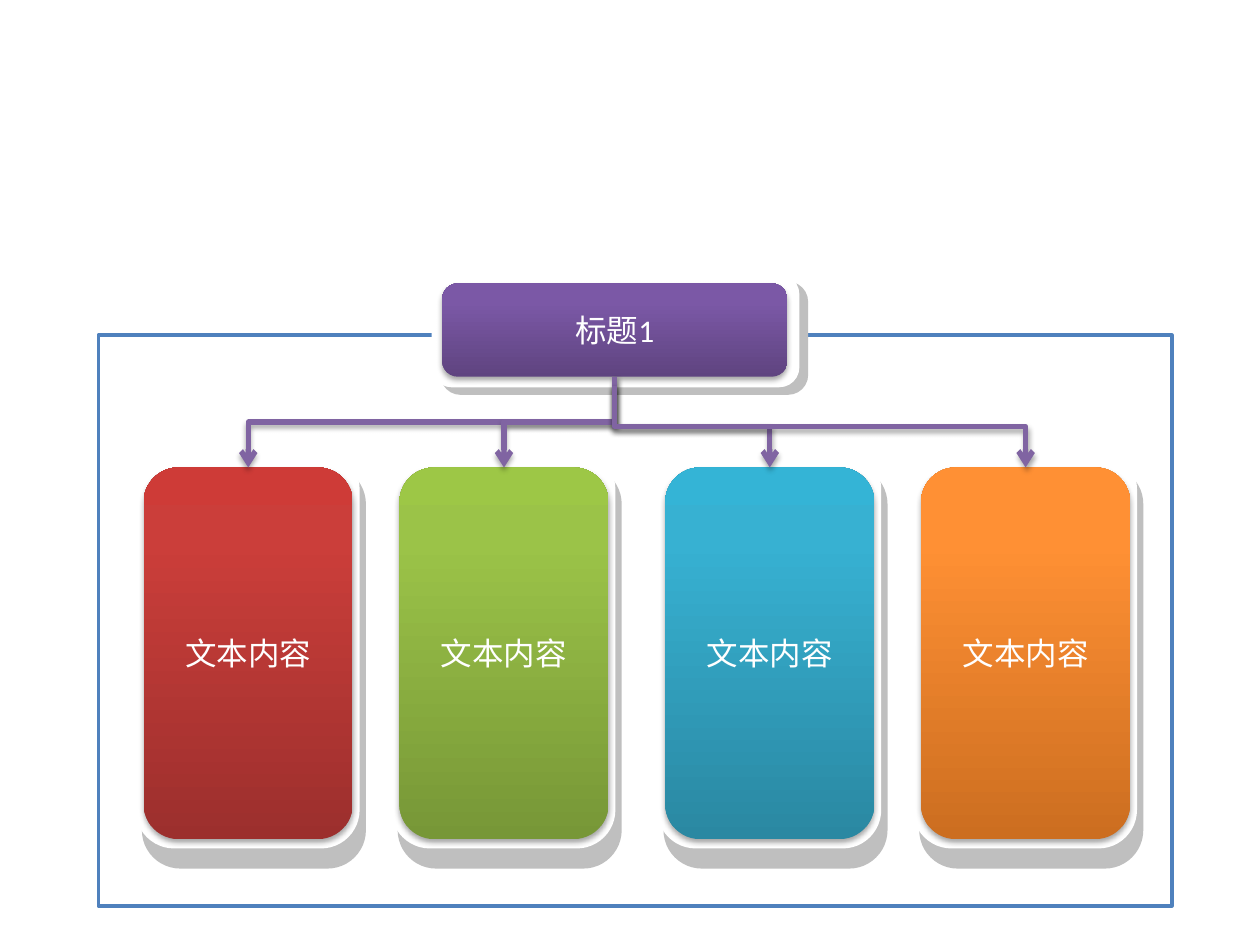
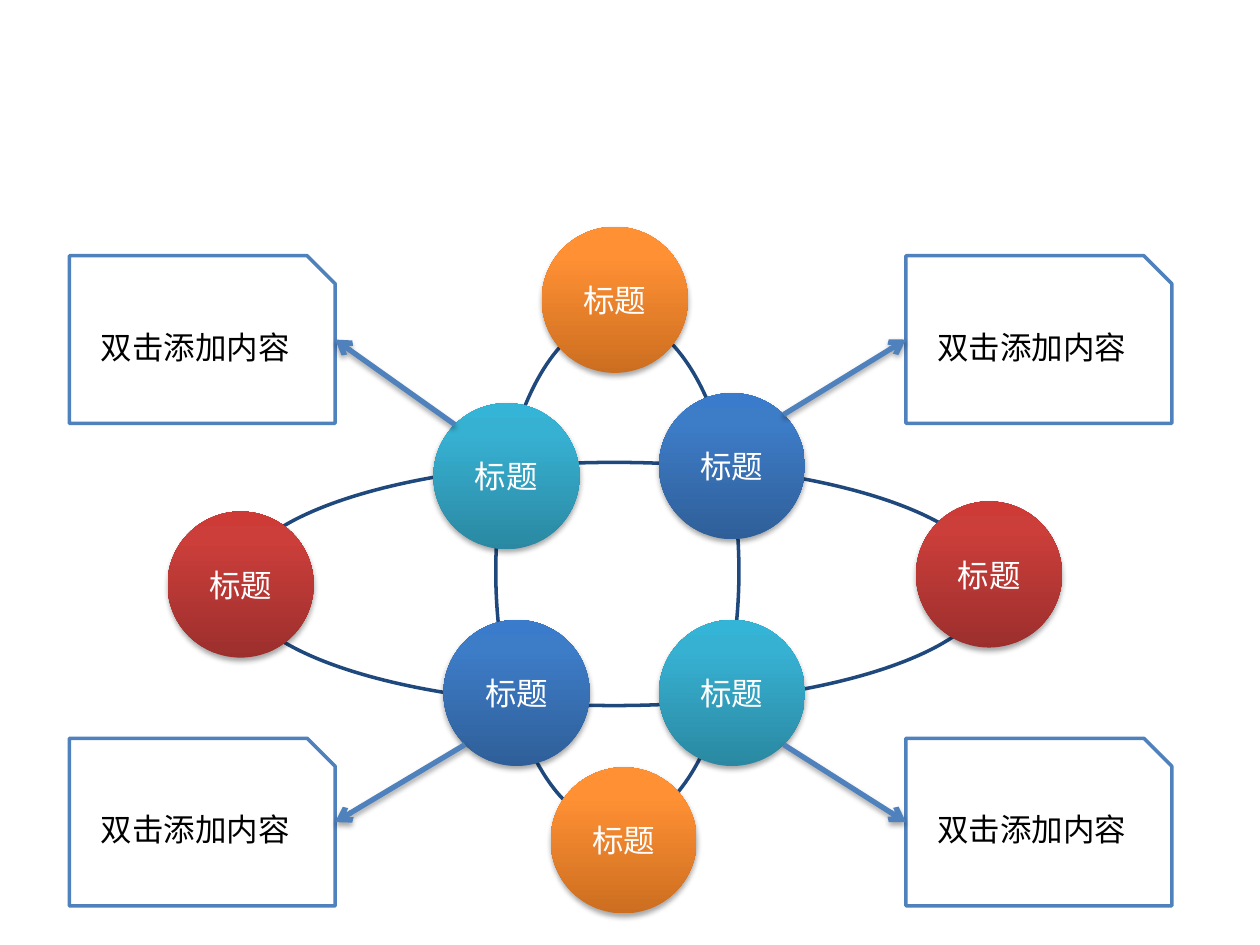
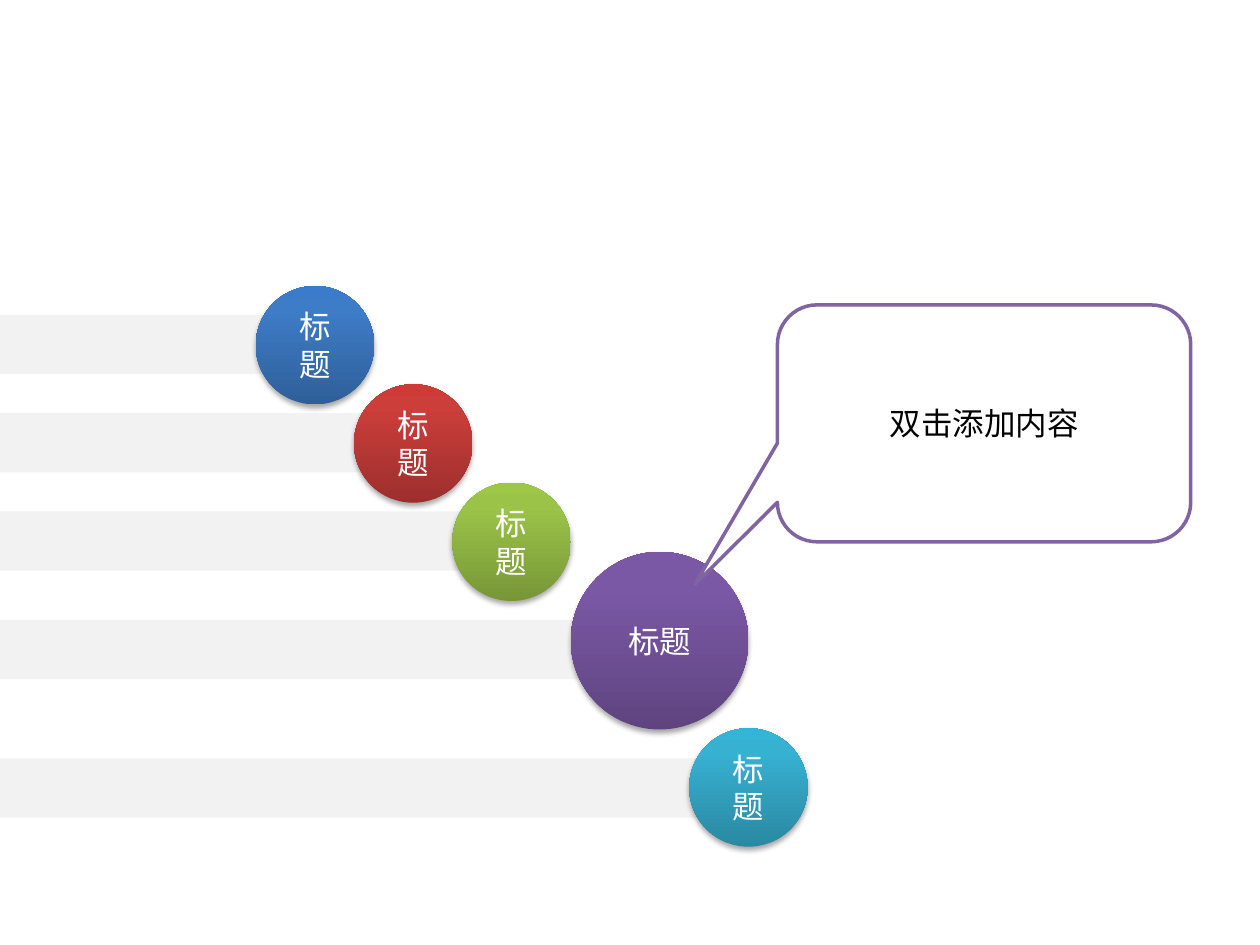
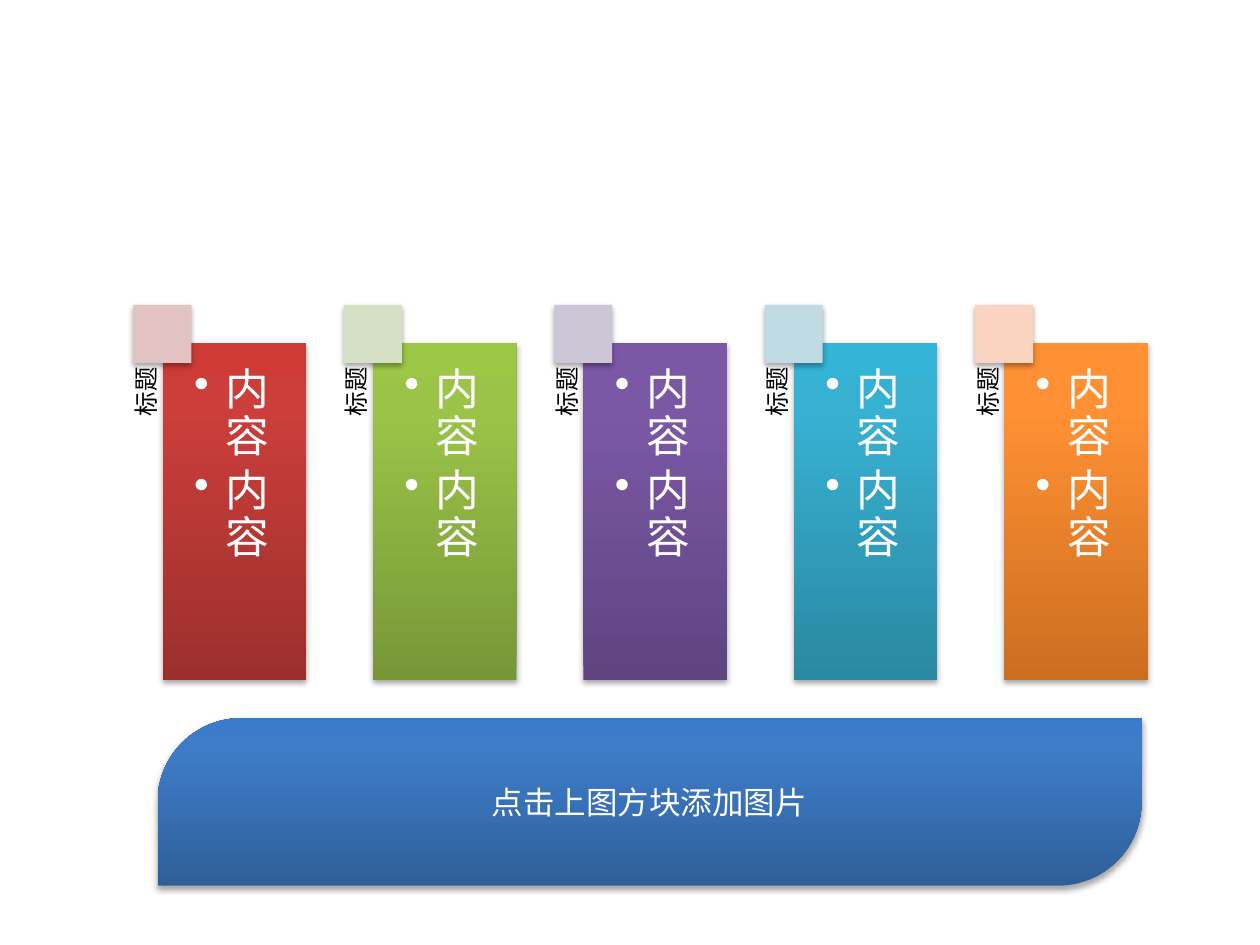
from copy import deepcopy

from lxml import etree
from pptx import Presentation
from pptx.dml.color import RGBColor
from pptx.enum.shapes import MSO_CONNECTOR, MSO_SHAPE
from pptx.enum.text import MSO_ANCHOR, PP_ALIGN
from pptx.oxml import parse_xml
from pptx.oxml.ns import nsdecls, qn
from pptx.util import Inches, Pt

RECTANGLE = MSO_SHAPE.RECTANGLE
ROUNDED = MSO_SHAPE.ROUNDED_RECTANGLE
OVAL = MSO_SHAPE.OVAL
SNIPPED = MSO_SHAPE.SNIP_1_RECTANGLE
CALLOUT = MSO_SHAPE.ROUNDED_RECTANGULAR_CALLOUT
BANNER = MSO_SHAPE.ROUND_2_DIAG_RECTANGLE
STRAIGHT = MSO_CONNECTOR.STRAIGHT
ELBOW = MSO_CONNECTOR.ELBOW
LEFT_SIDE, RIGHT_SIDE = 1, 3

FONT = "Calibri"
WHITE = RGBColor(0xFF, 0xFF, 0xFF)
BLACK = RGBColor(0x00, 0x00, 0x00)
GRAY = RGBColor(0xBF, 0xBF, 0xBF)
PALE_GRAY = RGBColor(0xF2, 0xF2, 0xF2)
LINE_BLUE = RGBColor(0x4F, 0x81, 0xBD)
LINE_NAVY = RGBColor(0x1F, 0x49, 0x7D)
LINE_PURPLE = RGBColor(0x80, 0x64, 0xA2)
PALE_RED = RGBColor(0xE2, 0xC2, 0xC2)
PALE_GREEN = RGBColor(0xD5, 0xE0, 0xC4)
PALE_PURPLE = RGBColor(0xCD, 0xC6, 0xD7)
PALE_TEAL = RGBColor(0xC1, 0xDB, 0xE5)
PALE_ORANGE = RGBColor(0xFB, 0xD3, 0xC1)

# Gradients run from the bottom up, with stops at GRADIENT_POSITIONS
GRADIENT_POSITIONS = (0, 0.8, 1)
BLUE = (RGBColor(0x2F, 0x5F, 0x99), RGBColor(0x3D, 0x7C, 0xC7), RGBColor(0x3A, 0x7C, 0xCB))
RED = (RGBColor(0x9C, 0x2F, 0x2D), RGBColor(0xCB, 0x3E, 0x3A), RGBColor(0xCE, 0x3B, 0x37))
GREEN = (RGBColor(0x77, 0x97, 0x37), RGBColor(0x9B, 0xC3, 0x48), RGBColor(0x9D, 0xC7, 0x46))
PURPLE = (RGBColor(0x5F, 0x44, 0x80), RGBColor(0x7B, 0x58, 0xA6), RGBColor(0x7C, 0x57, 0xA8))
TEAL = (RGBColor(0x2A, 0x88, 0xA2), RGBColor(0x37, 0xB1, 0xD2), RGBColor(0x34, 0xB4, 0xD6))
ORANGE = (RGBColor(0xCC, 0x6E, 0x20), RGBColor(0xFF, 0x90, 0x34), RGBColor(0xFF, 0x91, 0x36))

SHADOW = parse_xml(
    f'<a:effectLst {nsdecls("a")}>'
    '<a:outerShdw blurRad="40000" dist="23000" dir="5400000" rotWithShape="0">'
    '<a:srgbClr val="000000"><a:alpha val="35000"/></a:srgbClr>'
    '</a:outerShdw></a:effectLst>'
)


def add_box(shapes, kind, place, fill=None, line=None, text="", text_color=WHITE, shadow=False):
    """Add a preset shape; fill is one colour, a tuple of gradient colours or None."""
    shape = shapes.add_shape(kind, *[Inches(length) for length in place])
    if fill is None:
        shape.fill.background()
    elif isinstance(fill, RGBColor):
        shape.fill.solid()
        shape.fill.fore_color.rgb = fill
    else:
        shape.fill.gradient()
        shape.fill.gradient_angle = 90
        stop_list = shape._element.spPr.find(".//" + qn("a:gsLst"))
        stop_list.append(deepcopy(stop_list[-1]))
        for stop, color, position in zip(shape.fill.gradient_stops, fill, GRADIENT_POSITIONS):
            stop.color.rgb = color
            stop.position = position
    if line is None:
        shape.line.fill.background()
    else:
        shape.line.color.rgb = line
        shape.line.width = Pt(2)
    if shadow:
        shape._element.spPr.append(deepcopy(SHADOW))
    else:
        shape.shadow.inherit = False
    if text:
        frame = shape.text_frame
        frame.word_wrap = True
        frame.vertical_anchor = MSO_ANCHOR.MIDDLE
        paragraph = frame.paragraphs[0]
        paragraph.alignment = PP_ALIGN.CENTER
        run = paragraph.add_run()
        run.text = text
        run.font.name = FONT
        run.font.size = Pt(18)
        run.font.color.rgb = text_color
    return shape


def add_arrow(shapes, kind, begin, end, color):
    connector = shapes.add_connector(kind, *[Inches(length) for length in (*begin, *end)])
    connector.line.color.rgb = color
    connector.line.width = Pt(3)
    properties = connector._element.spPr
    etree.SubElement(properties.find(qn("a:ln")), qn("a:tailEnd"), type="arrow")
    properties.append(deepcopy(SHADOW))
    return connector


presentation = Presentation()
presentation.slide_width = Inches(10)
presentation.slide_height = Inches(7.5)
blank = presentation.slide_layouts[6]

# Slide 1: one heading leading to four cards
slide = presentation.slides.add_slide(blank)
add_box(slide.shapes, RECTANGLE, (0.78, 2.66, 8.52, 4.53), line=LINE_BLUE)

heading = slide.shapes.add_group_shape().shapes
add_box(heading, ROUNDED, (3.51, 2.25, 2.89, 0.87), GRAY, GRAY)
add_box(heading, ROUNDED, (3.44, 2.19, 2.89, 0.87), WHITE, WHITE)
add_box(heading, ROUNDED, (3.51, 2.25, 2.74, 0.74), PURPLE, text="标题1", shadow=True)

card_top = 3.71
card_width = 1.66
cards = [(1.14, RED), (3.17, GREEN), (5.28, TEAL), (7.31, ORANGE)]
for left, color in cards:
    card = slide.shapes.add_group_shape().shapes
    add_box(card, ROUNDED, (left, card_top, 1.75, 3.17), GRAY, GRAY)
    add_box(card, ROUNDED, (left - 0.05, 3.59, 1.75, 3.13), WHITE, WHITE)
    add_box(card, ROUNDED, (left, card_top, card_width, 2.95), color, text="文本内容", shadow=True)

# An elbow that leaves downwards is a turned one: its width is the drop
heading_center = 4.88
for left, color in cards:
    card_center = left + card_width / 2
    goes_right = card_center > heading_center
    start_top = 3.06 if goes_right else 2.99
    drop = card_top - start_top
    reach = abs(card_center - heading_center)
    turned_left = (heading_center + card_center - drop) / 2
    turned_top = (start_top + card_top - reach) / 2
    arrow = add_arrow(slide.shapes, ELBOW, (turned_left, turned_top),
                      (turned_left + drop, turned_top + reach), LINE_PURPLE)
    transform = arrow._element.spPr.find(qn("a:xfrm"))
    transform.set("rot", str((270 if goes_right else 90) * 60000))
    if goes_right:
        transform.set("flipH", "1")

# Slide 2: two crossing orbits with four notes
slide = presentation.slides.add_slide(blank)
orbits = slide.shapes.add_group_shape().shapes
add_box(orbits, OVAL, (1.89, 3.67, 5.97, 1.93), line=LINE_NAVY)
upright_orbit = add_box(orbits, OVAL, (2.88, 3.57, 4.04, 1.93), line=LINE_NAVY)
upright_orbit.rotation = 270

planet_size = 1.16
planets = [
    (3.44, 3.2, TEAL), (5.23, 3.12, BLUE), (3.52, 4.92, BLUE), (5.23, 4.92, TEAL),
    (7.27, 3.98, RED), (4.3, 1.8, ORANGE), (1.33, 4.06, RED), (4.37, 6.09, ORANGE),
]
for left, top, color in planets:
    add_box(slide.shapes, OVAL, (left, top, planet_size, planet_size), color,
            text="标题", shadow=True)

# The four inner planets come first, each pointing to the note in its corner
diagonal_inset = 0.17
for index, (left, top, color) in enumerate(planets[:4]):
    on_right = index % 2 == 1
    on_bottom = index >= 2
    note = add_box(slide.shapes, SNIPPED,
                   (7.19 if on_right else 0.55, 5.86 if on_bottom else 2.03, 2.11, 1.33),
                   WHITE, LINE_BLUE, "双击添加内容", BLACK)
    begin = (left + (planet_size - diagonal_inset if on_right else diagonal_inset),
             top + (planet_size - diagonal_inset if on_bottom else diagonal_inset))
    arrow = add_arrow(slide.shapes, STRAIGHT, begin, begin, LINE_BLUE)
    arrow.end_connect(note, LEFT_SIDE if on_right else RIGHT_SIDE)

# Slide 3: stepped bands ending in circles
slide = presentation.slides.add_slide(blank)
steps = [
    (2.5, 2.19, 2.03, 2.27, 0.94, BLUE),
    (3.28, 3.05, 2.81, 3.05, 0.94, RED),
    (4.06, 3.98, 3.59, 3.83, 0.94, GREEN),
    (4.92, 4.69, 4.53, 4.38, 1.41, PURPLE),
    (6.02, 5.55, 5.47, 5.78, 0.94, TEAL),
]
for band_top, band_width, left, top, size, color in steps:
    add_box(slide.shapes, RECTANGLE, (0, band_top, band_width, 0.47), PALE_GRAY)
for band_top, band_width, left, top, size, color in steps:
    add_box(slide.shapes, OVAL, (left, top, size, size), color, text="标题", shadow=True)
callout = add_box(slide.shapes, CALLOUT, (6.17, 2.42, 3.28, 1.88), WHITE, LINE_PURPLE,
                  "双击添加内容", BLACK)
callout.adjustments[0] = -0.7
callout.adjustments[1] = 0.68

# Slide 4: five columns above a banner
slide = presentation.slides.add_slide(blank)
column_pitch = 1.67
columns = [(RED, PALE_RED), (GREEN, PALE_GREEN), (PURPLE, PALE_PURPLE),
           (TEAL, PALE_TEAL), (ORANGE, PALE_ORANGE)]
for index, (color, pale_color) in enumerate(columns):
    offset = index * column_pitch
    column = slide.shapes.add_group_shape().shapes

    title = column.add_textbox(Inches(offset - 0.16), Inches(3.94), Inches(2.68), Inches(0.23))
    title.rotation = 270
    frame = title.text_frame
    frame.word_wrap = True
    frame.margin_left = frame.margin_top = frame.margin_bottom = 0
    frame.margin_right = Inches(0.2)
    paragraph = frame.paragraphs[0]
    paragraph.alignment = PP_ALIGN.RIGHT
    paragraph.line_spacing = 0.9
    run = paragraph.add_run()
    run.text = "标题"
    run.font.name = FONT
    run.font.size = Pt(14)
    run.font.color.rgb = BLACK

    panel_place = (offset + 1.29, 2.72, 1.14, 2.68)
    add_box(column, RECTANGLE, panel_place, color, shadow=True)
    body = column.add_textbox(*[Inches(length) for length in panel_place])
    frame = body.text_frame
    frame.word_wrap = True
    frame.margin_left = frame.margin_right = frame.margin_bottom = Inches(0.25)
    frame.margin_top = Inches(0.2)
    for paragraph in (frame.paragraphs[0], frame.add_paragraph()):
        paragraph.level = 1
        paragraph.line_spacing = 0.9
        paragraph.space_after = Pt(3.75)
        properties = paragraph._p.get_or_add_pPr()
        properties.set("marL", str(Inches(0.25)))
        properties.set("indent", str(-Inches(0.25)))
        etree.SubElement(properties, qn("a:buChar"), char="•")
        run = paragraph.add_run()
        run.text = "内容"
        run.font.name = FONT
        run.font.size = Pt(25)
        run.font.color.rgb = WHITE

    add_box(column, RECTANGLE, (offset + 1.06, 2.42, 0.46, 0.46), pale_color, shadow=True)

banner = add_box(slide.shapes, BANNER, (1.25, 5.7, 7.81, 1.33), BLUE,
                 text="点击上图方块添加图片", shadow=True)
banner.adjustments[0] = 0.5
banner.adjustments[1] = 0

presentation.save("out.pptx")
